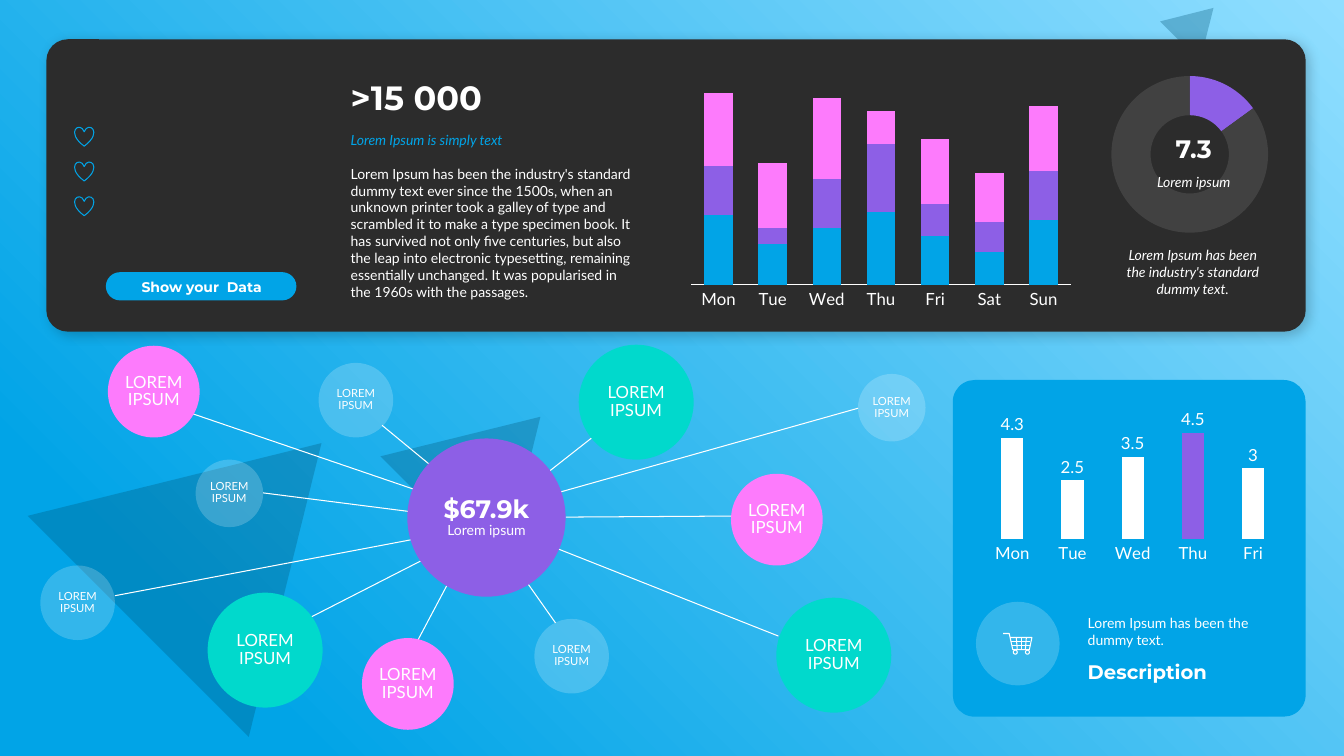
from pptx import Presentation
from pptx.chart.data import CategoryChartData
from pptx.dml.color import RGBColor
from pptx.enum.chart import XL_CHART_TYPE, XL_LABEL_POSITION, XL_TICK_MARK
from pptx.enum.shapes import MSO_CONNECTOR, MSO_SHAPE
from pptx.enum.text import MSO_ANCHOR, PP_ALIGN
from pptx.oxml import parse_xml
from pptx.oxml.ns import nsdecls, qn
from pptx.util import Inches, Pt
from lxml import etree

C = {"dark": "2C2C2C", "blue": "01A4E7", "sky": "90DEFF", "navy": "005274", "white": "FFFFFF",
     "purple": "8D5FE6", "pink": "FD7BFC", "teal": "01D9CC", "ring": "414141"}
RGB = {name: RGBColor.from_string(value) for name, value in C.items()}
LEFT, CENTER = PP_ALIGN.LEFT, PP_ALIGN.CENTER
TOP, MIDDLE, BOTTOM = MSO_ANCHOR.TOP, MSO_ANCHOR.MIDDLE, MSO_ANCHOR.BOTTOM

prs = Presentation()
prs.slide_width, prs.slide_height = Inches(13.33), Inches(7.5)
slide = prs.slides.add_slide(prs.slide_layouts[6])
slide.background.fill.solid()
slide.background.fill.fore_color.rgb = RGB["dark"]


def shape(kind, box, colour, alpha=None, adj=None):
    s = slide.shapes.add_shape(kind, *map(Inches, box))
    s.shadow.inherit = False
    s.line.fill.background()
    s.fill.solid()
    s.fill.fore_color.rgb = RGB[colour]
    if alpha:
        clr = s._element.spPr.find(".//" + qn("a:srgbClr"))
        etree.SubElement(clr, qn("a:alpha")).set("val", str(alpha * 1000))
    if adj:
        s.adjustments[0] = adj
    return s


def write(p, text, size, font="Lato", colour="white", bold=False, italic=False, align=LEFT):
    p.alignment = align
    r = p.add_run()
    r.text = text
    r.font.size, r.font.name = Pt(size), font
    r.font.bold, r.font.italic = bold, italic
    r.font.color.rgb = RGB[colour]


backdrop = shape(MSO_SHAPE.RECTANGLE, (0, 0, 13.33, 7.5), "blue")
solid = backdrop._element.spPr.find(qn("a:solidFill"))
solid.getparent().replace(solid, parse_xml(
    f'<a:gradFill {nsdecls("a")} rotWithShape="1"><a:gsLst>'
    f'<a:gs pos="0"><a:srgbClr val="{C["sky"]}"/></a:gs>'
    f'<a:gs pos="85000"><a:srgbClr val="{C["blue"]}"/></a:gs></a:gsLst>'
    '<a:path path="circle"><a:fillToRect l="100000" b="100000"/></a:path></a:gradFill>'))

for box in [(0.73, 4.02, 3.1, 2.57), (4.02, 3.93, 1.69, 1.4), (11.59, 0.01, 0.56, 0.47)]:
    shape(MSO_SHAPE.ISOSCELES_TRIANGLE, box, "navy", 30).rotation = 45

panel = shape(MSO_SHAPE.ROUNDED_RECTANGLE, (0.46, 0.39, 12.49, 2.9), "dark", adj=0.073)
panel._element.spPr.find(qn("a:effectLst")).append(parse_xml(
    f'<a:outerShdw {nsdecls("a")} blurRad="101600" dist="38100" dir="2700000" algn="tl">'
    '<a:srgbClr val="000000"><a:alpha val="20000"/></a:srgbClr></a:outerShdw>'))
shape(MSO_SHAPE.ROUNDED_RECTANGLE, (9.45, 3.77, 3.5, 3.34), "blue", adj=0.065)
shape(MSO_SHAPE.ROUNDED_RECTANGLE, (1.05, 2.7, 1.89, 0.28), "blue", adj=0.5)

for row in range(3):
    heart = shape(MSO_SHAPE.HEART, (0.74, 1.26 + row * 0.345, 0.19, 0.19), "blue")
    heart.fill.background()
    heart.line.color.rgb = RGB["blue"]
    heart.line.width = Pt(0.75)

charts = [
    (XL_CHART_TYPE.COLUMN_STACKED, (6.78, 0.51, 3.91, 2.61), (0.02, 0.116, 0.962, 0.772), 12,
     ["Mon", "Tue", "Wed", "Thu", "Fri", "Sat", "Sun"],
     {"blue": [86, 50, 70, 90, 60, 40, 80],
      "purple": [60, 20, 60, 84, 40, 38, 60],
      "pink": [90, 80, 100, 40, 80, 60, 80]}, 90, 250),
    (XL_CHART_TYPE.COLUMN_CLUSTERED, (9.68, 4.06, 3.1, 1.54), (0.02, 0.073, 0.963, 0.763), 12,
     ["Mon", "Tue", "Wed", "Thu", "Fri"], {"white": [4.3, 2.5, 3.5, 4.5, 3]}, 171, 5),
    (XL_CHART_TYPE.DOUGHNUT, (10.96, 0.75, 1.72, 1.56), (0.027, 0.003, 0.923, 0.997), 10,
     ["1", "2"], {"ring": [15, 85]}, None, None),
]
for kind, box, plot_box, size, cats, series, gap, top in charts:
    data = CategoryChartData()
    data.categories = cats
    for i, values in enumerate(series.values(), 1):
        data.add_series(f"Series {i}", values)
    chart = slide.shapes.add_chart(kind, *map(Inches, box), data).chart
    chart.has_legend = chart.has_title = False
    chart.font.size, chart.font.name = Pt(size), "Lato"
    chart.font.color.rgb = RGB["white"]
    plot = chart.plots[0]
    area = chart._chartSpace.find(".//" + qn("c:plotArea"))
    for old in area.findall(qn("c:layout")):
        area.remove(old)
    modes = '<c:layoutTarget val="inner"/><c:xMode val="edge"/><c:yMode val="edge"/>'
    sides = "".join(f'<c:{k} val="{v}"/>' for k, v in zip("xywh", plot_box))
    area.insert(0, parse_xml(
        f'<c:layout {nsdecls("c")}><c:manualLayout>{modes}{sides}</c:manualLayout></c:layout>'))
    for ser, colour in zip(plot.series, series):
        ser.format.fill.solid()
        ser.format.fill.fore_color.rgb = RGB[colour]
    if kind == XL_CHART_TYPE.DOUGHNUT:
        plot._element.find(qn("c:holeSize")).set("val", "80")
        highlights = {0: "purple", 1: "ring"}
    else:
        plot.vary_by_categories = False
        plot.gap_width = gap
        axis = chart.value_axis
        axis.minimum_scale, axis.maximum_scale = 0, top
        axis.has_major_gridlines = axis.visible = False
        chart.category_axis.major_tick_mark = XL_TICK_MARK.NONE
        line = chart.category_axis.format.line
        highlights = {}
        if kind == XL_CHART_TYPE.COLUMN_STACKED:
            plot.overlap = 100
            line.color.rgb = RGB["white"]
            line.width = Pt(0.75)
        else:
            line.fill.background()
            highlights = {3: "purple"}
            plot.has_data_labels = True
            plot.data_labels.show_value = True
            plot.data_labels.position = XL_LABEL_POSITION.OUTSIDE_END
    for i, colour in highlights.items():
        point = plot.series[0].points[i].format
        point.fill.solid()
        point.fill.fore_color.rgb = RGB[colour]
        point.line.fill.background()

bubble_styles = {1.14: ("teal", None, 12), 0.91: ("pink", None, 12),
                 0.74: ("white", 20, 8), 0.67: ("white", 20, 8)}
bubbles = [
    (1.07, 3.43, 0.91, (1.75, 4.05, 4.27, 4.91)),
    (1.94, 4.56, 0.67, (2.61, 4.89, 4.18, 5.09)),
    (0.4, 5.61, 0.74, (1.14, 5.91, 4.21, 5.33)),
    (2.06, 5.88, 1.14, (3.01, 6.16, 4.3, 5.5)),
    (3.16, 3.6, 0.74, (3.79, 4.22, 4.36, 4.69)),
    (3.59, 6.33, 0.91, (4.5, 5.68, 4.14, 6.36)),
    (5.3, 6.14, 0.74, (5.15, 5.67, 5.51, 6.18)),
    (5.74, 3.42, 1.14, (5.34, 4.76, 5.9, 4.32)),
    (8.51, 3.71, 0.67, (5.42, 4.92, 8.51, 4.05)),
    (7.25, 4.7, 0.91, (5.61, 5.13, 7.26, 5.12)),
    (7.7, 5.93, 1.14, (5.42, 5.4, 7.72, 6.31)),
]
circles = []
for x, y, d, ends in bubbles:
    link = slide.shapes.add_connector(MSO_CONNECTOR.STRAIGHT, *map(Inches, ends))
    link.line.color.rgb = RGB["white"]
    link.line.width = Pt(0.75)
    etree.SubElement(link._element.spPr, qn("a:effectLst"))
    colour, alpha, size = bubble_styles[d]
    circles.append((shape(MSO_SHAPE.OVAL, (x, y, d, d), colour, alpha),
                    [("LOREM IPSUM", size, "Lato", False)]))
circles.append((shape(MSO_SHAPE.OVAL, (4.04, 4.35, 1.57, 1.57), "purple"),
                [("$67.9k", 18, "Montserrat", True), ("Lorem ipsum", 10, "Lato", False)]))
for s, lines in circles:
    tf = s.text_frame
    tf.word_wrap = True
    tf.margin_left = tf.margin_right = 0
    tf.vertical_anchor = MIDDLE
    for i, (text, size, font, bold) in enumerate(lines):
        p = tf.add_paragraph() if i else tf.paragraphs[0]
        p.line_spacing = 0.89
        write(p, text, size, font, bold=bold, align=CENTER)

shape(MSO_SHAPE.OVAL, (9.68, 5.97, 0.83, 0.83), "white", 20)
basket = [(9.95, 6.285), (10.01, 6.285), (10.045, 6.445), (10.21, 6.445), (10.235, 6.325), (10.02, 6.325)]
bars = [[(10.03, 6.365), (10.22, 6.365)], [(10.04, 6.405), (10.22, 6.405)],
        [(10.08, 6.325), (10.09, 6.445)], [(10.13, 6.325), (10.13, 6.445)],
        [(10.18, 6.325), (10.17, 6.445)]]
fb = slide.shapes.build_freeform(Inches(basket[0][0]), Inches(basket[0][1]))
fb.add_line_segments([(Inches(x), Inches(y)) for x, y in basket[1:]], close=False)
for start, end in bars:
    fb.move_to(*map(Inches, start))
    fb.add_line_segments([tuple(map(Inches, end))], close=False)
cart = [fb.convert_to_shape()]
cart += [shape(MSO_SHAPE.OVAL, (x, 6.45, 0.04, 0.04), "white") for x in (10.05, 10.17)]
for s in cart:
    s.shadow.inherit = False
    s.fill.background()
    s.line.color.rgb = RGB["white"]
    s.line.width = Pt(0.75)

passage = ("Lorem Ipsum has been the industry's standard dummy text ever since the 1500s, when an "
           "unknown printer took a galley of type and scrambled it to make a type specimen book. "
           "It has survived not only five centuries, but also the leap into electronic typesetting, "
           "remaining essentially unchanged. It was popularised in the 1960s with the passages.")
texts = [
    ((3.38, 0.71, 3.02, 0.5), BOTTOM, (">15 000", 24, "Montserrat", "white", True)),
    ((3.38, 1.26, 3.02, 0.27), TOP, ("Lorem Ipsum is simply text", 10, "Lato", "blue", False, True)),
    ((3.38, 1.59, 3.02, 1.45), TOP, (passage, 10)),
    ((1.13, 2.71, 1.74, 0.27), MIDDLE, ("Show your  Data", 10, "Montserrat", "white", True, False, CENTER)),
    ((11.29, 1.27, 1.1, 0.4), BOTTOM, ("7.3", 18, "Montserrat", "white", True, False, CENTER)),
    ((11.29, 1.67, 1.1, 0.27), TOP, ("Lorem ipsum", 10, "Lato", "white", False, True, CENTER)),
    ((11.03, 2.4, 1.6, 0.61), TOP, ("Lorem Ipsum has been the industry's standard dummy text.",
                                    10, "Lato", "white", False, True, CENTER)),
    ((10.69, 6.05, 2.23, 0.44), TOP, ("Lorem Ipsum has been the dummy text.", 10)),
    ((10.69, 6.49, 2.23, 0.34), BOTTOM, ("Description", 14, "Montserrat", "white", True)),
]
for box, anchor, content in texts:
    tf = slide.shapes.add_textbox(*map(Inches, box)).text_frame
    tf.word_wrap = True
    tf.vertical_anchor = anchor
    write(tf.paragraphs[0], *content)

prs.save("out.pptx")
